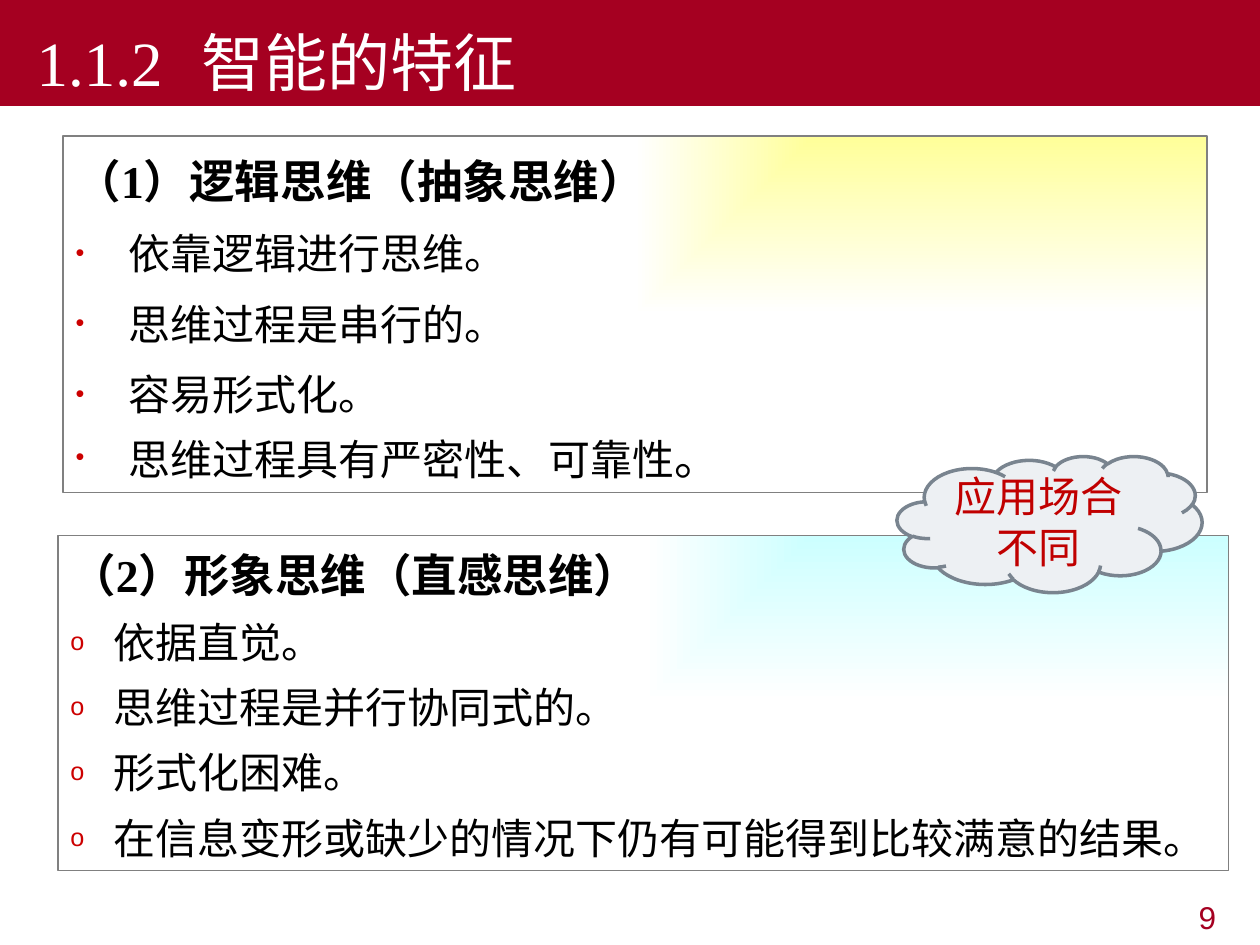
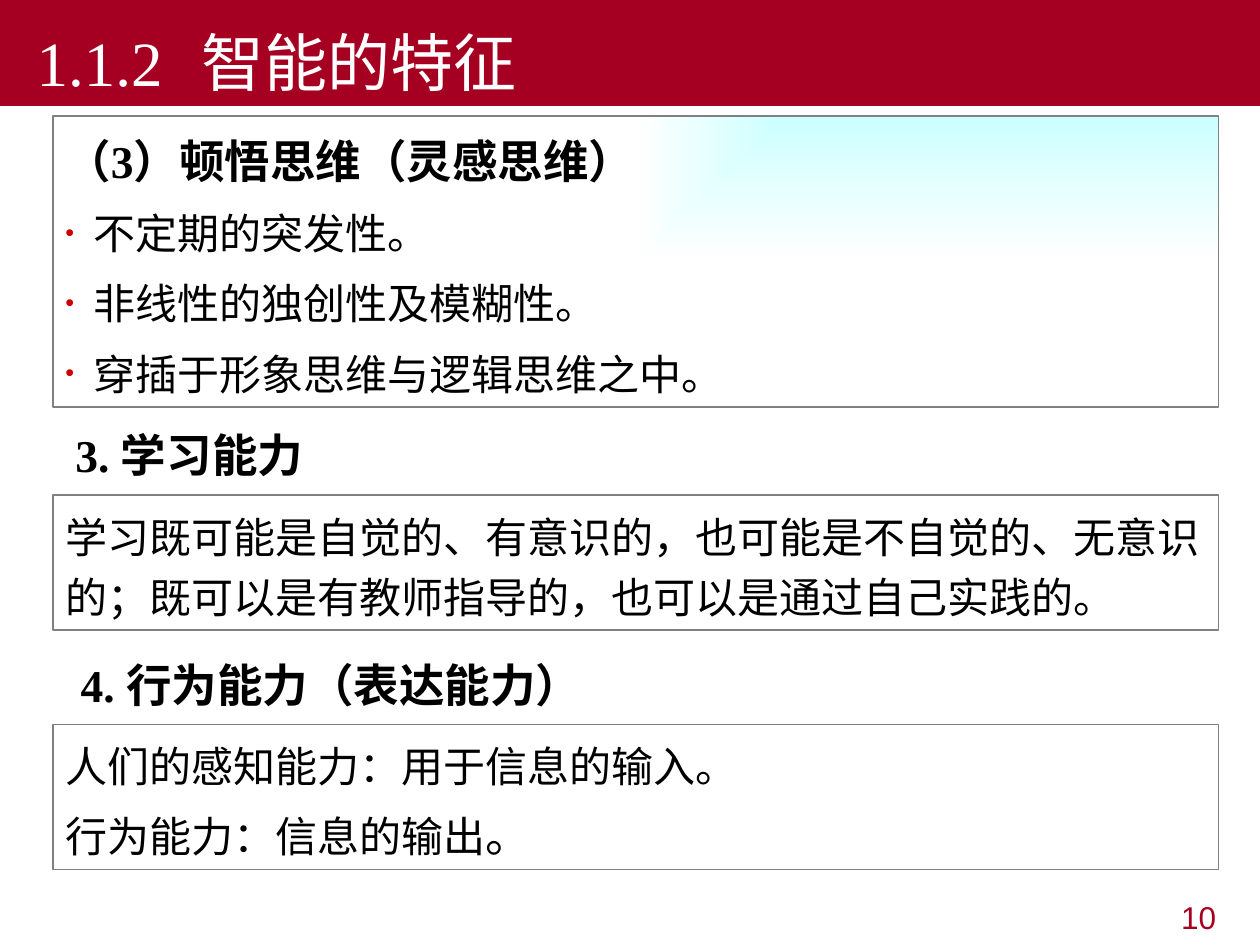
"""Build two slides on the features of intelligence."""
import lxml.etree
import pptx
import pptx.dml.color
import pptx.enum.shapes
import pptx.enum.text
import pptx.oxml.ns
import pptx.util

WIDTH, HEIGHT = 10, 7.5
CRIMSON, WHITE, BLACK, GRAY = "A50021", "FFFFFF", "000000", "808080"
YELLOW, CYAN, BULLET_RED = "FFFF99", "CCFFFF", "CC0000"
CLOUD_FILL, CLOUD_LINE, CLOUD_TEXT = "EDF0F3", "79848F", "C00000"
SERIF, SANS = "Times New Roman", "Arial"
HEADING, BODY = 26, 24
BULLET_GAP = 5.6
ALIGN = pptx.enum.text.PP_ALIGN
ANCHOR = pptx.enum.text.MSO_ANCHOR

TITLE = "1.1.2\t智能的特征"
SLIDES = [
    {
        "number": "9",
        "parts": [
            {"box": (0.5, 1.08, 9.08, 2.83), "body": True, "glow": YELLOW, "spacing": 1.2,
             "heading": "（1）逻辑思维（抽象思维）", "bullet": "•", "hanging": 0.42,
             "items": ["依靠逻辑进行思维。", "思维过程是串行的。", "容易形式化。",
                       "思维过程具有严密性、可靠性。"],
             "last": {"before": 0, "closing_size": HEADING}},
            {"box": (0.46, 4.25, 9.29, 2.66), "glow": CYAN, "spacing": 1.1,
             "heading": "（2）形象思维（直感思维）", "bullet": "o", "hanging": 0.34,
             "items": ["依据直觉。", "思维过程是并行协同式的。", "形式化困难。",
                       "在信息变形或缺少的情况下仍有可能得到比较满意的结果。"]},
        ],
        "cloud": ("应用场合不同", (7.12, 3.62, 2.42, 1.08)),
    },
    {
        "number": "10",
        "parts": [
            {"box": (0.42, 0.92, 9.25, 2.31), "glow": CYAN, "spacing": 1.2,
             "heading": "（3）顿悟思维（灵感思维）", "bullet": "•", "hanging": 0.22,
             "items": ["不定期的突发性。", "非线性的独创性及模糊性。",
                       "穿插于形象思维与逻辑思维之中。"]},
            {"box": (0.5, 3.25, 8.42, 0.66), "spacing": 1.2, "heading": "3. 学习能力"},
            {"box": (0.42, 3.93, 9.25, 1.07), "plain": WHITE, "spacing": 1.2,
             "items": ["学习既可能是自觉的、有意识的，也可能是不自觉的、无意识的；"
                       "既可以是有教师指导的，也可以是通过自己实践的。"]},
            {"box": (0.33, 5.08, 9, 0.67), "body": True, "spacing": 1.2, "margin": 0.21,
             "heading": "4. 行为能力（表达能力）"},
            {"box": (0.42, 5.75, 9.25, 1.15), "plain": WHITE, "spacing": 1.2, "before": 2.8,
             "items": ["人们的感知能力：用于信息的输入。", "行为能力：信息的输出。"],
             "last": {"closing_size": HEADING}},
        ],
    },
]


def color(value):
    return pptx.dml.color.RGBColor.from_string(value)


def add_element(parent, tag, **attributes):
    return lxml.etree.SubElement(parent, pptx.oxml.ns.qn(tag), attributes)


def write(frame, text, size=BODY, font=SERIF, ink=BLACK, bold=False, align=ALIGN.LEFT,
          spacing=1.0, before=0, margin=0, indent=0, bullet=None, tab=None, closing_size=None):
    first = not frame.paragraphs[0].runs
    paragraph = frame.paragraphs[0] if first else frame.add_paragraph()
    properties = paragraph._p.get_or_add_pPr()
    properties.set("marL", str(pptx.util.Inches(margin)))
    properties.set("indent", str(pptx.util.Inches(indent)))
    if bullet:
        add_element(add_element(properties, "a:buClr"), "a:srgbClr", val=BULLET_RED)
        add_element(properties, "a:buSzPct", val="60000")
        add_element(properties, "a:buFont", typeface=SANS)
        add_element(properties, "a:buChar", char=bullet)
    else:
        add_element(properties, "a:buNone")
    if tab:
        add_element(add_element(properties, "a:tabLst"), "a:tab",
                    pos=str(pptx.util.Inches(tab)), algn="l")
    paragraph.alignment = align
    paragraph.line_spacing = spacing
    paragraph.space_before = pptx.util.Pt(0 if first else before)
    pieces = [(text[:-1], size), (text[-1], closing_size)] if closing_size else [(text, size)]
    for piece, points in pieces:
        run = paragraph.add_run()
        run.text = piece
        run.font.size = pptx.util.Pt(points)
        run.font.name = font
        run.font.bold = bold
        run.font.color.rgb = color(ink)


def place(shape, box, anchor=ANCHOR.TOP):
    shape.left, shape.top, shape.width, shape.height = map(pptx.util.Inches, box)
    frame = shape.text_frame
    frame.word_wrap = True
    frame.auto_size = pptx.enum.text.MSO_AUTO_SIZE.NONE
    frame.vertical_anchor = anchor
    return frame


def paint(shape, fill, line=None, line_width=0.75):
    shape.fill.solid()
    shape.fill.fore_color.rgb = color(fill)
    if line:
        shape.line.color.rgb = color(line)
        shape.line.width = pptx.util.Pt(line_width)


def glow_from_corner(shape, tint):
    shape.fill.gradient()
    for stop, value, position in zip(shape.fill.gradient_stops, (tint, WHITE), (0, 1)):
        stop.color.rgb = color(value)
        stop.position = position
    gradient = shape.element.spPr.find(pptx.oxml.ns.qn("a:gradFill"))
    gradient.remove(gradient.find(pptx.oxml.ns.qn("a:lin")))
    route = add_element(gradient, "a:path")
    route.set("path", "rect")
    add_element(route, "a:fillToRect", l="100000", b="100000")


def add_title(slide):
    title = slide.shapes.title
    frame = place(title, (0, 0, WIDTH, 0.84), ANCHOR.BOTTOM)
    paint(title, CRIMSON)
    write(frame, TITLE, size=36, ink=WHITE, indent=0.19, tab=1.56)


def add_part(slide, part):
    if part.get("body"):
        shape = slide.placeholders[1]
    elif "glow" in part or "plain" in part:
        shape = slide.shapes.add_shape(pptx.enum.shapes.MSO_SHAPE.RECTANGLE, 0, 0, 0, 0)
        shape.shadow.inherit = False
    else:
        shape = slide.shapes.add_textbox(0, 0, 0, 0)
    frame = place(shape, part["box"])
    if "plain" in part or "glow" in part:
        paint(shape, part.get("plain", WHITE), GRAY)
    if "glow" in part:
        glow_from_corner(shape, part["glow"])
    if "heading" in part:
        write(frame, part["heading"], size=HEADING, bold=True, spacing=part["spacing"],
              margin=part.get("margin", 0))
    items = part.get("items", [])
    hanging = part.get("hanging", 0)
    for index, item in enumerate(items, 1):
        style = {"spacing": part["spacing"], "before": part.get("before", BULLET_GAP),
                 "margin": hanging, "indent": -hanging, "bullet": part.get("bullet")}
        if index == len(items):
            style.update(part.get("last", {}))
        write(frame, item, **style)


def add_cloud(slide, text, box):
    cloud = slide.shapes.add_shape(pptx.enum.shapes.MSO_SHAPE.CLOUD, 0, 0, 0, 0)
    cloud.shadow.inherit = False
    paint(cloud, CLOUD_FILL, CLOUD_LINE, 2)
    write(place(cloud, box, ANCHOR.MIDDLE), text, font=SANS, ink=CLOUD_TEXT, align=ALIGN.CENTER)


def add_number(slide, number):
    frame = place(slide.shapes.add_textbox(0, 0, 0, 0), (7.58, 7.08, 2.17, 0.39))
    write(frame, number, size=18, font=SANS, ink=CRIMSON, align=ALIGN.RIGHT)


def main():
    presentation = pptx.Presentation()
    presentation.slide_width = pptx.util.Inches(WIDTH)
    presentation.slide_height = pptx.util.Inches(HEIGHT)
    for content in SLIDES:
        slide = presentation.slides.add_slide(presentation.slide_layouts[1])
        add_title(slide)
        add_number(slide, content["number"])
        for part in content["parts"]:
            add_part(slide, part)
        if "cloud" in content:
            add_cloud(slide, *content["cloud"])
    presentation.save("out.pptx")


if __name__ == "__main__":
    main()
